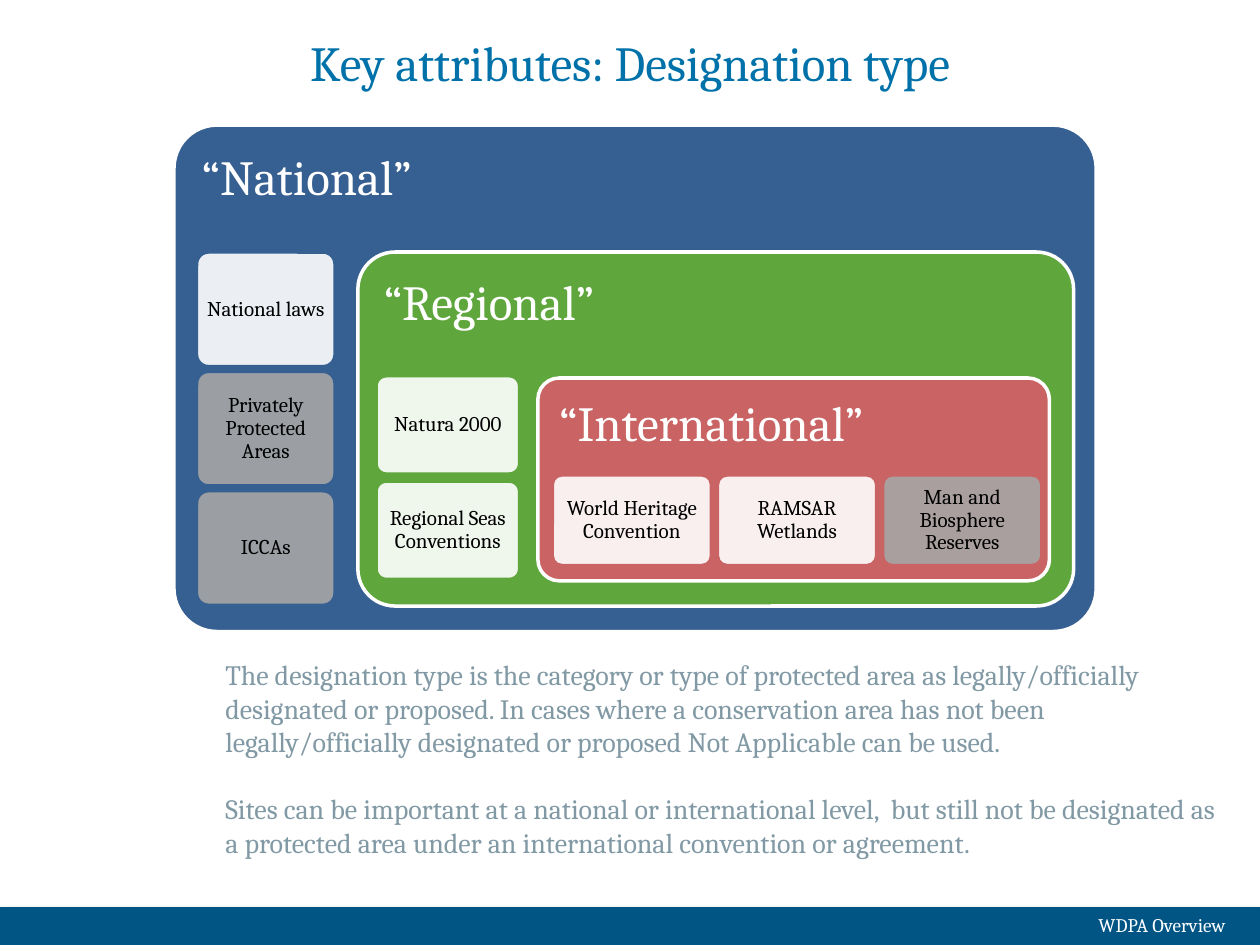
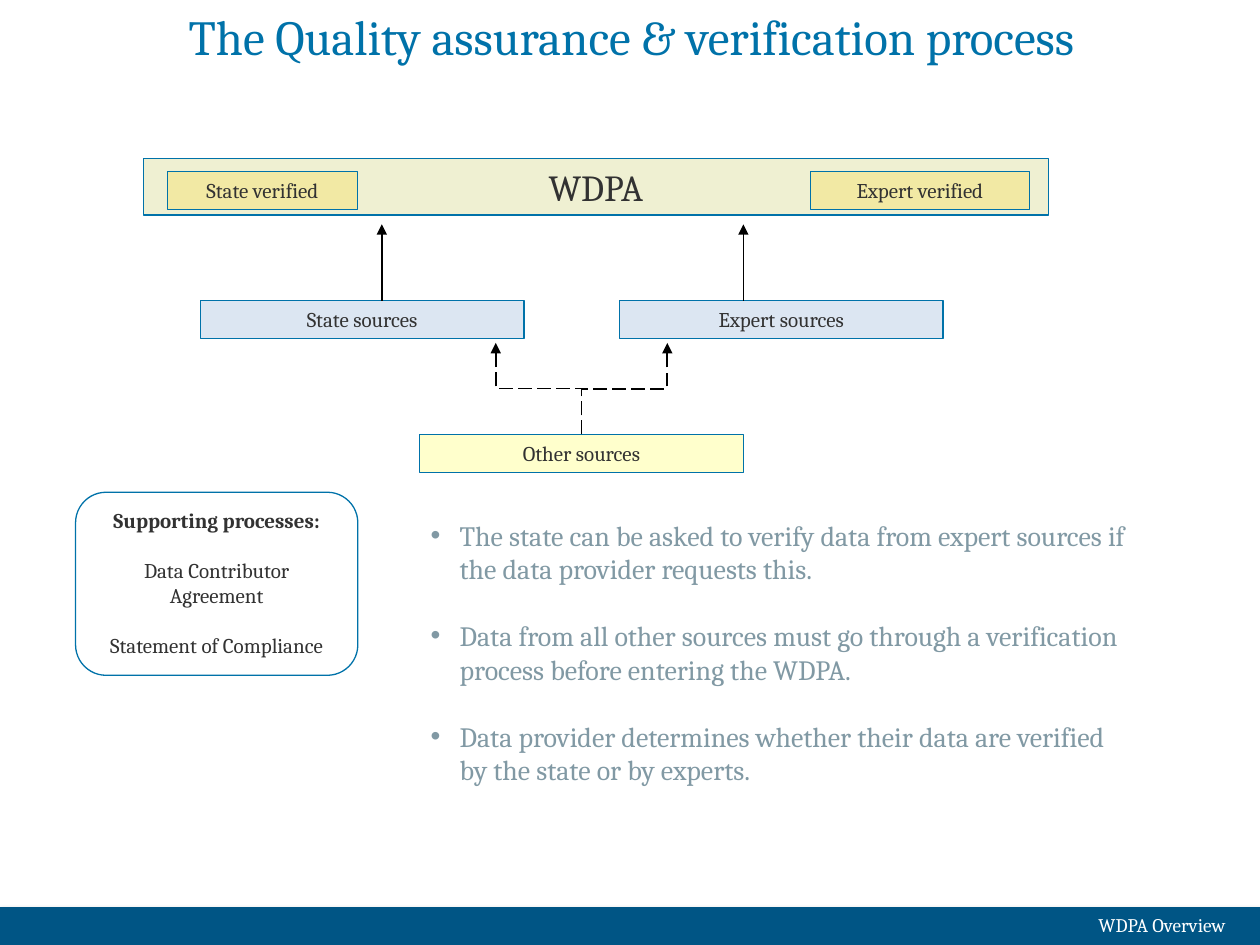
import lxml.etree
import pptx
import pptx.dml.color
import pptx.enum.dml
import pptx.enum.shapes
import pptx.enum.text
import pptx.oxml.ns
import pptx.util

Pt = pptx.util.Pt
qn = pptx.oxml.ns.qn
SHAPE = pptx.enum.shapes.MSO_SHAPE
CONNECTOR = pptx.enum.shapes.MSO_CONNECTOR
ANCHOR = pptx.enum.text.MSO_ANCHOR
ALIGN = pptx.enum.text.PP_ALIGN

FONT = "Cambria"
COLORS = {
    "band": "005585", "title": "0072A9", "body": "8199A4", "ink": "323232",
    "white": "FFFFFF", "black": "000000", "grey": "A6A6A6",
    "national": "376092", "regional": "5FA63C", "international": "CA6464",
    "source": "DCE6F2", "other": "FFFFCC", "wdpa": "EFF0D2", "verified": "F2E9A4",
}
SLIDE_W, SLIDE_H = 720, 540
BAND_TOP = 518.4


def rgb(name):
    return pptx.dml.color.RGBColor.from_string(COLORS[name])


def add_child(parent, tag, **attributes):
    child = lxml.etree.SubElement(parent, qn(tag))
    for key, value in attributes.items():
        child.set(key, str(value))
    return child


def write_text(sp, text, size=12, color="ink", align=ALIGN.LEFT, anchor=ANCHOR.TOP,
               inset=None, line_spacing=None, gap=0, bullet=False, bold_first=False):
    """Fill a shape with one string or a list of paragraphs set gap points apart."""
    tf = sp.text_frame
    tf.word_wrap = True
    tf.vertical_anchor = anchor
    if inset is not None:
        tf.margin_left = tf.margin_top = tf.margin_right = tf.margin_bottom = Pt(inset)
    paragraphs = [text] if isinstance(text, str) else text
    for i, line in enumerate(paragraphs):
        p = tf.add_paragraph() if i else tf.paragraphs[0]
        p.alignment = align
        if bullet:
            pPr = p._p.get_or_add_pPr()
            pPr.set("marL", str(Pt(16.6)))
            pPr.set("indent", str(-Pt(16.6)))
            add_child(pPr, "a:buFont", typeface="Arial")
            add_child(pPr, "a:buChar", char="•")
        if line_spacing:
            p.line_spacing = line_spacing
        if i and gap:
            p.space_before = Pt(gap)
        r = p.add_run()
        r.text = line
        r.font.name = FONT
        r.font.size = Pt(size)
        r.font.color.rgb = rgb(color)
        r.font.bold = bold_first and i == 0


def add_text(s, box, text, **style):
    sp = s.shapes.add_textbox(*map(Pt, box))
    write_text(sp, text, **style)
    return sp


def add_box(s, box, fill=None, line=None, line_width=0.75, kind=SHAPE.RECTANGLE,
            corner=None, opacity=None):
    sp = s.shapes.add_shape(kind, *map(Pt, box))
    sp.shadow.inherit = False
    if corner is not None:
        sp.adjustments[0] = corner
    if fill:
        sp.fill.solid()
        sp.fill.fore_color.rgb = rgb(fill)
        if opacity:
            color = sp._element.spPr.find(qn("a:solidFill"))[0]
            add_child(color, "a:alpha", val=opacity * 1000)
    else:
        sp.fill.background()
    if line:
        sp.line.color.rgb = rgb(line)
        sp.line.width = Pt(line_width)
    else:
        sp.line.fill.background()
    return sp


def add_panel(s, box, name, fill, corner=0.105):
    sp = add_box(s, box, fill, "white", 2, SHAPE.ROUNDED_RECTANGLE, corner)
    write_text(sp, name, size=28, color="white", inset=8.64, line_spacing=0.9)


def add_cards(s, first, step, cards, panel):
    """Place (label, fill) cards from the box first, each moved on by step."""
    x, y, w, h = first
    dx, dy = step
    for i, (label, fill) in enumerate(cards):
        sp = add_box(s, (x + i * dx, y + i * dy, w, h), fill, panel, 2,
                     SHAPE.ROUNDED_RECTANGLE, 0.105, opacity=90)
        write_text(sp, label, color="black", align=ALIGN.CENTER,
                   anchor=ANCHOR.MIDDLE, inset=3.6, line_spacing=0.9)


def add_label_box(s, box, text, fill, size=12):
    sp = add_box(s, box, fill, "title")
    write_text(sp, text, size=size, align=ALIGN.CENTER)


def add_arrow(s, kind, x1, y1, x2, y2, dashed=False):
    c = s.shapes.add_connector(kind, Pt(x1), Pt(y1), Pt(x2), Pt(y2))
    c.line.color.rgb = rgb("black")
    c.line.width = Pt(1)
    if dashed:
        c.line.dash_style = pptx.enum.dml.MSO_LINE.LONG_DASH
    add_child(c.line._get_or_add_ln(), "a:tailEnd", type="triangle")
    add_child(c._element.spPr, "a:effectLst")
    return c


def add_rising_elbow(s, x1, y1, x2, y2):
    """Draw up, across and up: a sideways elbow turned a quarter to the left."""
    mid_x, mid_y = (x1 + x2) / 2, (y1 + y2) / 2
    rise, shift = (y1 - y2) / 2, (x2 - x1) / 2
    c = add_arrow(s, CONNECTOR.ELBOW, mid_x - rise, mid_y - shift,
                  mid_x + rise, mid_y + shift, dashed=True)
    c._element.spPr.find(qn("a:xfrm")).set("rot", str(270 * 60000))


def add_slide(prs, title, title_box):
    s = prs.slides.add_slide(prs.slide_layouts[6])
    band = add_box(s, (0, BAND_TOP, SLIDE_W, SLIDE_H - BAND_TOP), "band")
    effects = band._element.spPr.find(qn("a:effectLst"))
    shadow = add_child(effects, "a:outerShdw", blurRad=Pt(3.1), dist=Pt(1.8),
                       dir=90 * 60000, rotWithShape=0)
    color = add_child(shadow, "a:srgbClr", val=COLORS["black"])
    add_child(color, "a:alpha", val=35000)
    add_text(s, (620.6, BAND_TOP, 99.4, 21), "WDPA Overview", size=11, color="white")
    add_text(s, title_box, title, size=28, color="title",
             align=ALIGN.CENTER, anchor=ANCHOR.MIDDLE)
    return s


def build_designation_slide(prs):
    s = add_slide(prs, "Key attributes: Designation type", (0, 0, SLIDE_W, 71))

    add_panel(s, (99.4, 71.5, 527, 289.4), "“National”", "national", corner=0.085)
    add_cards(s, (112.3, 144, 79.2, 65.5), (0, 68.2), [
        ("National laws", "white"),
        ("Privately Protected Areas", "grey"),
        ("ICCAs", "grey"),
    ], "national")

    add_panel(s, (204.5, 144, 409, 202.3), "“Regional”", "regional")
    add_cards(s, (214.9, 214.7, 82.1, 56.2), (0, 60.2), [
        ("Natura 2000", "white"),
        ("Regional Seas Conventions", "white"),
    ], "regional")

    add_panel(s, (307.4, 216, 292.3, 115.9), "“International”", "international")
    add_cards(s, (315.6, 271.4, 91, 51.8), (94.4, 0), [
        ("World Heritage Convention", "white"),
        ("RAMSAR Wetlands", "white"),
        ("Man and Biosphere Reserves", "grey"),
    ], "international")

    add_text(s, (121.7, 372.2, 584, 124), [
        "The designation type is the category or type of protected area as "
        "legally/officially designated or proposed. In cases where a conservation area "
        "has not been legally/officially designated or proposed Not Applicable can be used.",
        "Sites can be important at a national or international level,  but still not be "
        "designated as a protected area under an international convention or agreement.",
    ], size=16, color="body", gap=19.1)


def build_verification_slide(prs):
    s = add_slide(prs, "The Quality assurance & verification process", (1.4, 0, 718.6, 41))

    source_w, label_h = 185, 21.8
    source_top, other_top = 171.8, 248.2
    for x, text in ((114.5, "State sources"), (354, "Expert sources")):
        add_label_box(s, (x, source_top, source_w, label_h), text, "source")
    add_label_box(s, (239.8, other_top, source_w, label_h), "Other sources", "other")

    for x in (218.2, 424.8):
        add_arrow(s, CONNECTOR.STRAIGHT, x, source_top, x, 128.2)
    other_mid = 239.8 + source_w / 2
    for shift in (49, -49):
        add_rising_elbow(s, other_mid, other_top, other_mid + shift, 196)

    add_label_box(s, (82, 90.5, 517, 32.4), "WDPA", "wdpa", size=21)
    for x, w, text in ((95.6, 108.7, "State verified"), (463, 125.4, "Expert verified")):
        add_label_box(s, (x, 97.9, w, label_h), text, "verified")

    support = add_box(s, (43.2, 281.3, 161.3, 104.6), line="title",
                      kind=SHAPE.FLOWCHART_ALTERNATE_PROCESS)
    write_text(support, ["Supporting processes:", "Data Contributor Agreement",
                         "Statement of Compliance"],
               align=ALIGN.CENTER, gap=14.3, bold_first=True)

    add_text(s, (239, 292.5, 417, 177), [
        "The state can be asked to verify data from expert sources if the data provider "
        "requests this.",
        "Data from all other sources must go through a verification process before "
        "entering the WDPA.",
        "Data provider determines whether their data are verified by the state or by experts.",
    ], size=16, color="body", gap=19.1, bullet=True)


def main():
    prs = pptx.Presentation()
    prs.slide_width, prs.slide_height = Pt(SLIDE_W), Pt(SLIDE_H)
    build_designation_slide(prs)
    build_verification_slide(prs)
    prs.save("out.pptx")


if __name__ == "__main__":
    main()
